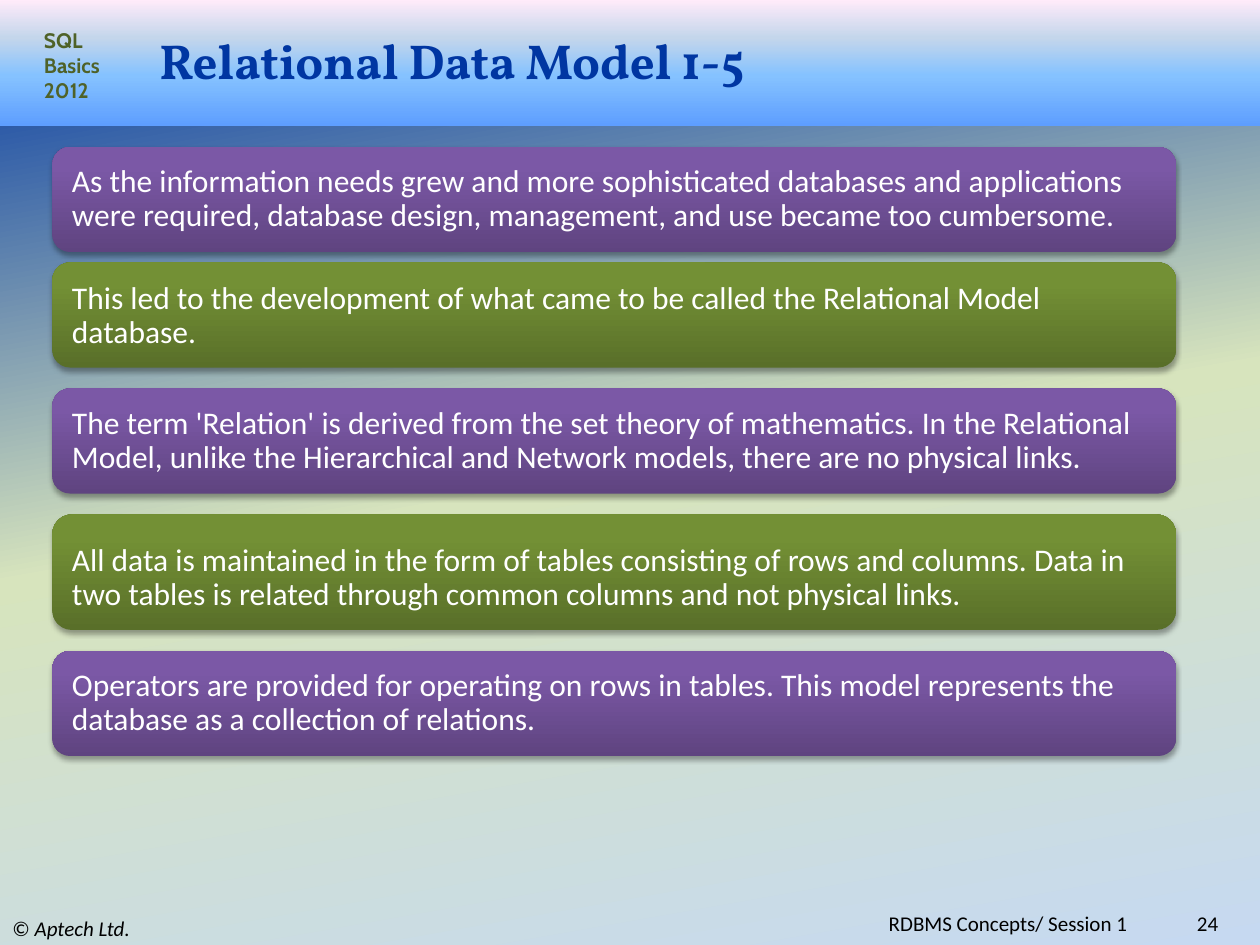
from pptx import Presentation, util as u
from pptx.dml.color import RGBColor
from pptx.enum import shapes, text
from pptx.oxml import parse_xml
from pptx.oxml.ns import nsdecls, qn

UNIT = u.Inches(1) / 12
COLUMNS, ROWS = 120, 90

BLACK = RGBColor(0x00, 0x00, 0x00)
WHITE = RGBColor(0xFF, 0xFF, 0xFF)
NAVY = RGBColor(0x00, 0x36, 0xA2)
MOSS = RGBColor(0x4F, 0x62, 0x28)
BACKDROP = [(0, NAVY), (50, RGBColor(0xD7, 0xE4, 0xBD)), (100, RGBColor(0xC6, 0xD9, 0xF1))]
SKY = [(0, RGBColor(0x5E, 0x9E, 0xFF)), (40, RGBColor(0x85, 0xC2, 0xFF)),
       (70, RGBColor(0xC4, 0xD6, 0xEB)), (100, RGBColor(0xFF, 0xEB, 0xFA))]
PURPLE = [(0, RGBColor(0x5F, 0x44, 0x80)), (80, RGBColor(0x7B, 0x58, 0xA6)),
          (100, RGBColor(0x7C, 0x57, 0xA8))]
GREEN = [(0, RGBColor(0x59, 0x6F, 0x29)), (80, RGBColor(0x73, 0x90, 0x35)),
         (100, RGBColor(0x74, 0x93, 0x34))]

STATEMENTS = [
    (14, 10, (0.5, 9), PURPLE,
     "As the information needs grew and more sophisticated databases and applications "
     "were required, database design, management, and use became too cumbersome."),
    (25, 10, (0.1, 10), GREEN,
     "This led to the development of what came to be called the Relational Model database."),
    (37, 10, (0.5, 9), PURPLE,
     "The term 'Relation' is derived from the set theory of mathematics. In the Relational "
     "Model, unlike the Hierarchical and Network models, there are no physical links."),
    (49, 11, (0.1, 11.9), GREEN,
     "All data is maintained in the form of tables consisting of rows and columns. "
     "Data in two tables is related through common columns and not physical links."),
    (62, 10, (0.5, 9), PURPLE,
     "Operators are provided for operating on rows in tables. "
     "This model represents the database as a collection of relations."),
]


def grid(*cells):
    """Turn grid cells into slide lengths."""
    return [u.Emu(round(cell * UNIT)) for cell in cells]


def paint_gradient(fill, holder, stops, angle):
    """Fill with colour stops along a counter-clockwise angle."""
    fill.gradient()
    fill.gradient_angle = angle
    stop_list = holder.find(qn("a:gradFill")).find(qn("a:gsLst"))
    for old_stop in list(stop_list):
        stop_list.remove(old_stop)
    for share, color in stops:
        stop_list.append(parse_xml(
            f'<a:gs {nsdecls("a")} pos="{share * 1000}"><a:srgbClr val="{color}"/></a:gs>'))


def add_panel(slide, box, preset, stops):
    """Add an unlined gradient panel and return it."""
    panel = slide.shapes.add_shape(preset, *grid(*box))
    paint_gradient(panel.fill, panel.element.spPr, stops, 90)
    panel.line.fill.background()
    panel.shadow.inherit = False
    return panel


def add_label(slide, box, runs, size, color, font="Calibri", bold=None,
              align=None, anchor=text.MSO_ANCHOR.MIDDLE):
    """Add a wrapped label from (words, italic) runs and return it."""
    label = slide.shapes.add_textbox(*grid(*box))
    frame = label.text_frame
    frame.word_wrap = True
    frame.vertical_anchor = anchor
    paragraph = frame.paragraphs[0]
    paragraph.alignment = align
    for words, italic in runs:
        run = paragraph.add_run()
        run.text = words
        run.font.name, run.font.size = font, u.Pt(size)
        run.font.bold, run.font.italic = bold, italic
        run.font.color.rgb = color
    return label


def add_header(slide, box):
    """Place the band, the course tag and the title."""
    left, top, _, _ = box
    add_panel(slide, box, shapes.MSO_SHAPE.RECTANGLE, SKY)
    add_label(slide, (left + 3, top + 2, 9, 8.5), [("SQL Basics 2012", None)], 12, MOSS,
              "Cabin", True, anchor=text.MSO_ANCHOR.TOP)
    add_label(slide, (left + 14, top + 3, 100, 5.4), [("Relational Data Model 1-5", None)],
              28, NAVY, "Vollkorn", True)


def add_statement(slide, box, label_rows, stops, words):
    """Place one shadowed rounded panel with its statement."""
    left, top, width, height = box
    panel = add_panel(slide, box, shapes.MSO_SHAPE.ROUNDED_RECTANGLE, stops)
    panel.element.spPr.find(qn("a:effectLst")).append(parse_xml(
        f'<a:outerShdw {nsdecls("a")} blurRad="{u.Pt(3.1)}" dist="{u.Pt(1.8)}" '
        'dir="5400000" rotWithShape="0"><a:srgbClr val="000000">'
        '<a:alpha val="35000"/></a:srgbClr></a:outerShdw>'))
    offset, rows = label_rows
    label = add_label(slide, (left + 0.9, top + offset, width - 1.9, rows),
                      [(words, None)], 18, WHITE)
    frame = label.text_frame
    frame.margin_left = frame.margin_right = u.Inches(0.08)
    frame.margin_top = frame.margin_bottom = u.Inches(0.08)
    frame.paragraphs[0].line_spacing = 0.9


def add_footer(slide, box):
    """Place the copyright line, the session name and the page number."""
    left, top, _, height = box
    add_label(slide, (left, top, 40, height), [("© ", None), ("Aptech Ltd.", True)], 12, BLACK)
    for column, width, words in ((30, 79, "RDBMS Concepts/ Session 1 "), (107, 10.2, "24")):
        add_label(slide, (left + column, top, width, 2.2), [(words, None)], 12, BLACK,
                  align=text.PP_ALIGN.RIGHT)


def main():
    """Build the slide and save it."""
    deck = Presentation()
    deck.slide_width, deck.slide_height = grid(COLUMNS, ROWS)
    slide = deck.slides.add_slide(deck.slide_layouts[6])
    backdrop = slide.background.fill
    paint_gradient(backdrop, slide.element.find(".//" + qn("p:bgPr")), BACKDROP, 280)
    add_header(slide, (0, 0, COLUMNS, 12))
    for top, height, label_rows, stops, words in STATEMENTS:
        add_statement(slide, (5, top, 107, height), label_rows, stops, words)
    add_footer(slide, (0, 86.8, COLUMNS, 3.2))
    deck.save("out.pptx")


if __name__ == "__main__":
    main()
